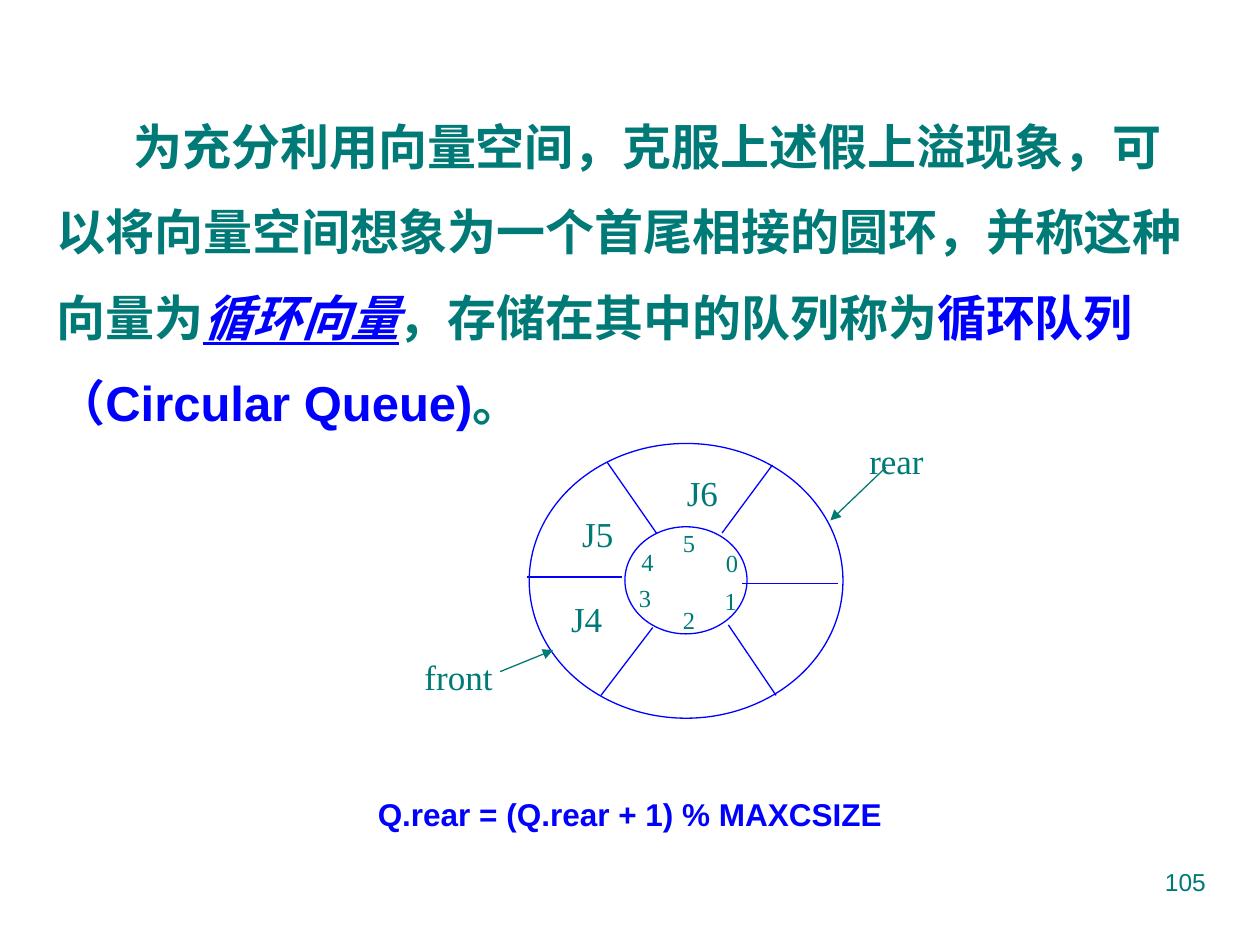
from dataclasses import dataclass
from pptx import Presentation
from pptx.dml.color import RGBColor as RGB
from pptx.enum.shapes import MSO_CONNECTOR as Link, MSO_SHAPE as Shape
from pptx.enum.text import MSO_ANCHOR as Anchor, PP_ALIGN as Align
from pptx.oxml.ns import qn
from pptx.util import Pt
from lxml.etree import SubElement as Sub


@dataclass(frozen=True)
class Theme:
    teal: RGB = RGB(0x00, 0x7A, 0x77)
    blue: RGB = RGB(0x00, 0x00, 0xFF)
    sans: str = "Arial"
    serif: str = "Times New Roman"
    body: int = 28
    label: int = 20
    code: int = 18
    small: int = 14
    line: float = 0.75


T = Theme()

BODY = [
    ("为充分利用向量空间，克服上述假上溢现象，可以将向量空间想象为一个首尾相接的圆环，并称这种向量为",
     T.teal, False),
    ("循环向量", T.blue, True),
    ("，存储在其中的队列称为", T.teal, False),
    ("循环队列（Circular Queue)", T.blue, False),
    ("。", T.teal, False),
]
RING = (302.4, 253.4, 179.3, 157)
HOLE = (357.1, 301, 69.8, 61.2)
SPOKES = [
    (301, 329.8, 355.7, 329.8),
    (424.1, 333.4, 478.8, 333.4),
    (347, 264.2, 375.1, 304.6),
    (416.2, 357.1, 443.5, 397.4),
    (441.4, 265.7, 412.6, 304.6),
    (373, 358.6, 343.4, 397.4),
]
ARROWS = [(506.2, 267.1, 474.5, 297.4), (285.8, 383.8, 316.1, 371.5)]
NAMES = [
    ("J4", 319, 337.7, 32.4),
    ("J5", 325.4, 289.4, 32.4),
    ("J6", 385.2, 265.7, 32.4),
    ("rear", 489.6, 247.7, 45.4),
    ("front", 235.4, 370.8, 53.3),
]
SLOTS = [(407.5, 309.6), (406.8, 331.2), (383, 342),
         (357.8, 329.8), (359.3, 308.9), (383, 298.1)]


def style(font, face, size, color, bold=False):
    font.name = face
    font.size = Pt(size)
    font.color.rgb = color
    font.bold = bold


def add_box(slide, left, top, width, height, wrap=True):
    box = slide.shapes.add_textbox(Pt(left), Pt(top), Pt(width), Pt(height))
    box.text_frame.word_wrap = wrap
    return box.text_frame


def add_text(slide, text, area, face, size, color, bold=False,
             align=Align.LEFT, anchor=Anchor.TOP, wrap=False):
    frame = add_box(slide, *area, wrap)
    frame.vertical_anchor = anchor
    para = frame.paragraphs[0]
    para.text = text
    para.alignment = align
    style(para.font, face, size, color, bold)


def add_label(slide, text, area, size):
    add_text(slide, text, area, T.serif, size, T.teal,
             align=Align.CENTER, anchor=Anchor.MIDDLE)


def add_body(slide):
    frame = add_box(slide, 25.2, 41, 660.2, 239.8)
    frame.margin_top = Pt(10.6)
    para = frame.paragraphs[0]
    para.line_spacing = 1.45
    para._p.get_or_add_pPr().set("indent", str(Pt(44)))
    for text, color, key in BODY:
        run = para.add_run()
        run.text = text
        style(run.font, T.sans, T.body, color, True)
        run.font.italic = run.font.underline = key


def add_oval(slide, area):
    oval = slide.shapes.add_shape(Shape.OVAL, *map(Pt, area))
    oval.shadow.inherit = False
    oval.fill.background()
    oval.line.color.rgb = T.blue
    oval.line.width = Pt(T.line)


def add_line(slide, ends, color, arrow=False):
    line = slide.shapes.add_connector(Link.STRAIGHT, *map(Pt, ends))
    line.line.color.rgb = color
    line.line.width = Pt(T.line)
    Sub(line._element.spPr, qn("a:effectLst"))
    if arrow:
        Sub(line.line._get_or_add_ln(), qn("a:tailEnd"), type="triangle")


def main():
    deck = Presentation()
    deck.slide_width, deck.slide_height = Pt(720), Pt(540)
    slide = deck.slides.add_slide(deck.slide_layouts[6])
    add_body(slide)
    for area in (RING, HOLE):
        add_oval(slide, area)
    for ends in SPOKES:
        add_line(slide, ends, T.blue)
    for ends in ARROWS:
        add_line(slide, ends, T.teal, arrow=True)
    for text, left, top, width in NAMES:
        add_label(slide, text, (left, top, width, 31), T.label)
    for slot, (left, top) in enumerate(SLOTS):
        add_label(slide, str(slot), (left, top, 21.6, 23.8), T.small)
    add_text(slide, "Q.rear = (Q.rear + 1) % MAXCSIZE",
             (208.8, 450.7, 302.4, 28.8), T.sans, T.code, T.blue, bold=True)
    add_text(slide, "105", (516.2, 491.8, 180, 37.4), T.sans, T.small, T.teal,
             align=Align.RIGHT, wrap=True)
    deck.save("out.pptx")


if __name__ == "__main__":
    main()
